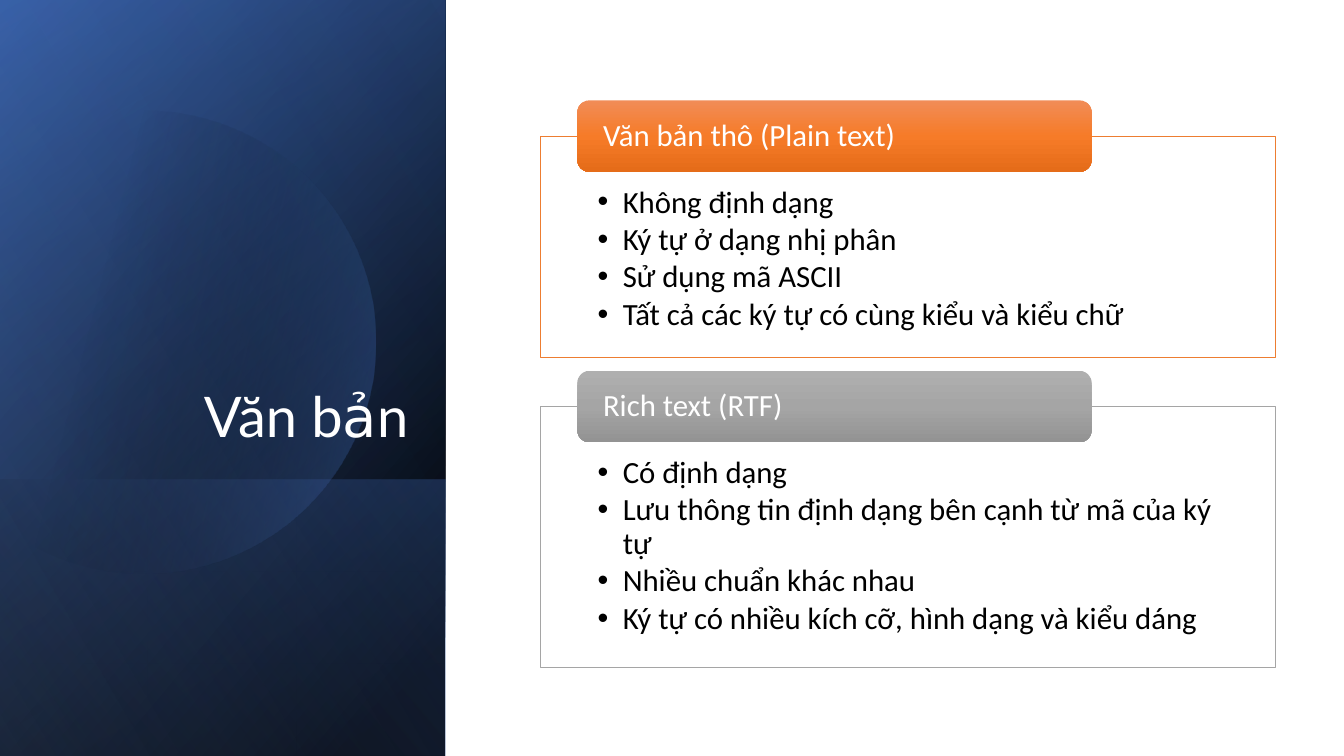
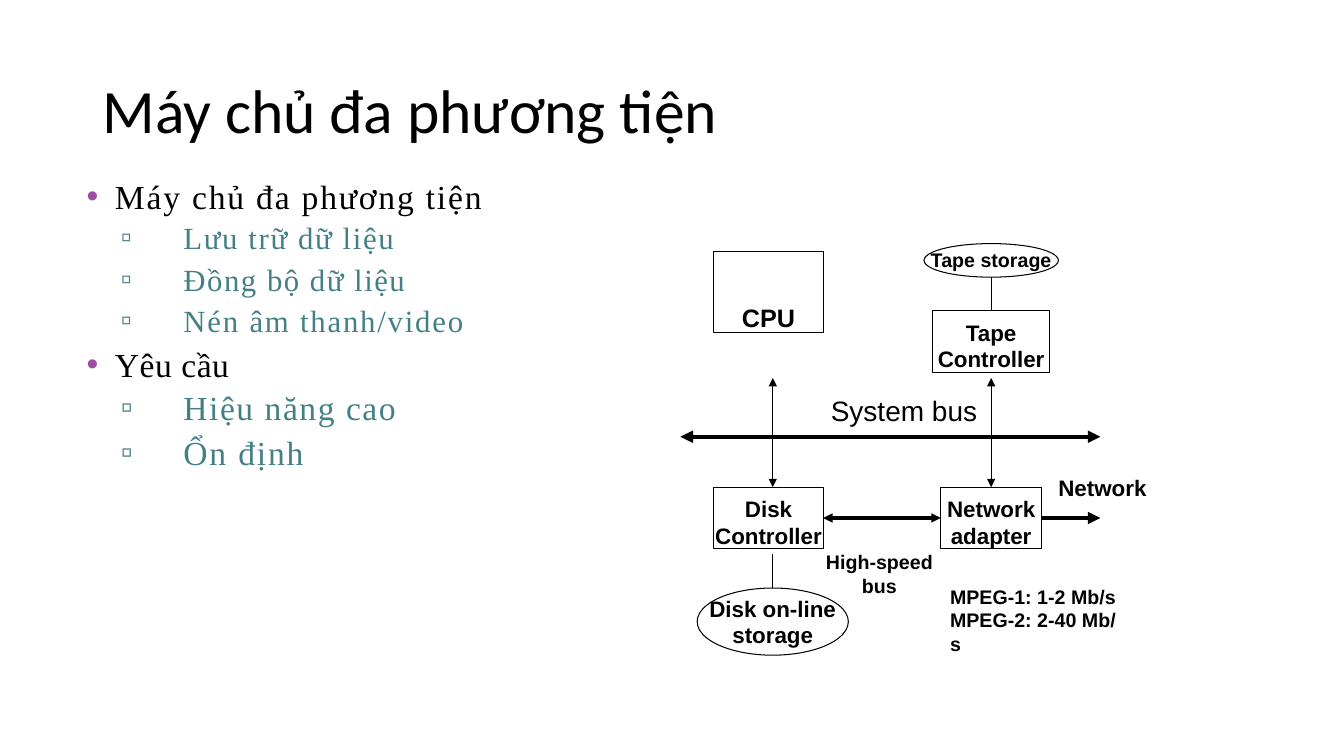
import math
from dataclasses import dataclass

from lxml import etree
from pptx import Presentation
from pptx.dml.color import RGBColor
from pptx.enum.shapes import MSO_CONNECTOR, MSO_SHAPE
from pptx.enum.text import MSO_ANCHOR, MSO_AUTO_SIZE, PP_ALIGN
from pptx.oxml.ns import qn
from pptx.util import Inches, Pt

RECT, ROUND, OVAL = MSO_SHAPE.RECTANGLE, MSO_SHAPE.ROUNDED_RECTANGLE, MSO_SHAPE.OVAL
STRAIGHT = MSO_CONNECTOR.STRAIGHT
TOP, MIDDLE, BOTTOM = MSO_ANCHOR.TOP, MSO_ANCHOR.MIDDLE, MSO_ANCHOR.BOTTOM
LEFT, CENTER, RIGHT = PP_ALIGN.LEFT, PP_ALIGN.CENTER, PP_ALIGN.RIGHT
SIDE_TOP, SIDE_LEFT, SIDE_BOTTOM, SIDE_RIGHT = range(4)
COLS, ROWS = 160, 90
TITLE_ONLY = 5


@dataclass(frozen=True)
class Theme:
    black: str = "000000"
    white: str = "FFFFFF"
    blue: str = "4472C4"
    deep_blue: str = "2F5597"
    pale_blue: str = "8FAADC"
    orange: str = "ED7D31"
    grey: str = "A5A5A5"
    purple: str = "A04DA3"
    teal: str = "438086"
    orange_shades: tuple = ("F18C57", "F67B28", "E56C19")
    grey_shades: tuple = ("AFAFAF", "A5A5A5", "939393")
    sans: str = "Calibri"
    serif: str = "Times New Roman"
    diagram: str = "Arial"
    panel_title: str = "Lato"
    fallback: str = "DejaVu Sans"
    title: int = 44
    panel_size: int = 40
    body: int = 24
    card: int = 22
    bus: int = 20
    cpu: int = 18
    box: int = 16
    note: int = 14
    hairline: float = 0.75


T = Theme()


def grid(n):
    """Length of n grid cells, each a twelfth of an inch."""
    return Inches(n / 12)


def rgb(value):
    return RGBColor.from_string(value)


class Deck:
    def __init__(self):
        self.prs = Presentation()
        self.prs.slide_width, self.prs.slide_height = grid(COLS), grid(ROWS)
        self.s = None

    def new_slide(self):
        self.s = self.prs.slides.add_slide(self.prs.slide_layouts[TITLE_ONLY])

    def frame(self, tf, anchor=TOP, insets=(0, 0, 0, 0), wrap=True):
        tf.auto_size = MSO_AUTO_SIZE.NONE
        tf.word_wrap, tf.vertical_anchor = wrap, anchor
        for side, inset in zip(("left", "top", "right", "bottom"), insets):
            setattr(tf, f"margin_{side}", Inches(inset))

    def style_run(self, r, font, size, color, bold=False, tracking=0):
        formats = {"name": font, "size": Pt(size), "bold": bold}
        for name, value in formats.items():
            setattr(r.font, name, value)
        r.font.color.rgb = rgb(color)
        if tracking:
            r.font._element.set("spc", str(round(tracking * 100)))

    def bullet(self, p, char, margin, hang, color):
        pPr = p._p.get_or_add_pPr()
        pPr.set("marL", str(Inches(margin)))
        pPr.set("indent", str(-Inches(hang)))
        clr = etree.SubElement(pPr, qn("a:buClr"))
        etree.SubElement(clr, qn("a:srgbClr")).set("val", color)
        etree.SubElement(pPr, qn("a:buFont")).set("typeface", T.diagram)
        etree.SubElement(pPr, qn("a:buChar")).set("char", char)

    def paragraph(self, tf, text, style, first, bullet=None, **layout):
        p = tf.paragraphs[0] if first else tf.add_paragraph()
        p.text = text
        if bullet:
            self.bullet(p, *bullet)
        layout.setdefault("alignment", LEFT)
        if first:
            layout["space_before"] = Pt(0)
        for name, value in layout.items():
            setattr(p, name, value)
        for r in p.runs:
            self.style_run(r, **style)

    def title(self, parts, box, size, color, anchor, align, insets):
        """Place the title; parts are (text, font) pairs."""
        sp = self.s.shapes.title
        sp.left, sp.top, sp.width, sp.height = map(grid, box)
        self.s.shapes._spTree.append(sp._element)
        self.frame(sp.text_frame, anchor, insets)
        p = sp.text_frame.paragraphs[0]
        p.alignment, p.line_spacing = align, 0.9
        for text, font in parts:
            r = p.add_run()
            r.text = text
            self.style_run(r, font, size, color)

    def gradient(self, sp, angle, stops):
        """Fill with (position %, colour, opacity %) stops; angle runs counter-clockwise."""
        sp.fill.gradient()
        sp.fill.gradient_angle = angle
        gs_list = sp._element.spPr.find(qn("a:gradFill")).find(qn("a:gsLst"))
        for old in list(gs_list):
            gs_list.remove(old)
        for position, color, opacity in stops:
            gs = etree.SubElement(gs_list, qn("a:gs"))
            gs.set("pos", str(position * 1000))
            clr = etree.SubElement(gs, qn("a:srgbClr"))
            clr.set("val", color)
            if opacity < 100:
                etree.SubElement(clr, qn("a:alpha")).set("val", str(opacity * 1000))

    def shape(self, kind, box, fill=None, line=None, width=T.hairline):
        sp = self.s.shapes.add_shape(kind, *map(grid, box))
        sp.shadow.inherit = False
        if fill:
            sp.fill.solid()
            sp.fill.fore_color.rgb = rgb(fill)
        else:
            sp.fill.background()
        if line:
            sp.line.color.rgb, sp.line.width = rgb(line), Pt(width)
        else:
            sp.line.fill.background()
        return sp

    def clipped_disc(self, cx, cy, radius, angle, stops):
        """Disc cut off by the left edge of the slide."""
        cut = math.degrees(math.acos(-cx / radius))
        turns = [math.radians(-cut + 2 * cut * i / 90) for i in range(91)]
        points = [(grid(max(0, cx + radius * math.cos(t))),
                   grid(cy + radius * math.sin(t))) for t in turns]
        builder = self.s.shapes.build_freeform(*points[0])
        builder.add_line_segments(points[1:], close=True)
        sp = builder.convert_to_shape()
        sp.shadow.inherit = False
        sp.line.fill.background()
        self.gradient(sp, angle, stops)

    def card(self, row, height, heading, items, color, shades):
        """Outlined bullet list with a heading tab over its top edge."""
        style = dict(font=T.sans, size=T.card, color=T.black)
        sp = self.shape(RECT, (64.3, row, 87.5, height), T.white, color, 0.5)
        self.frame(sp.text_frame, TOP, (0.57, 0.5, 0.57, 0.17))
        for i, item in enumerate(items):
            self.paragraph(sp.text_frame, item, style, i == 0,
                           ("•", 0.25, 0.25, T.black),
                           line_spacing=0.9, space_after=Pt(3))
        tab = self.shape(ROUND, (68.75, row - 4.25, 61.2, 8.5))
        self.gradient(tab, 270, [(50 * i, c, 100) for i, c in enumerate(shades)])
        self.frame(tab.text_frame, MIDDLE, (0.22, 0, 0.22, 0))
        self.paragraph(tab.text_frame, heading, {**style, "color": T.white}, True,
                       line_spacing=0.9)

    def node(self, kind, box, text, size=T.box, spacing=19):
        """Outlined diagram part: boxes hold text at the foot, ovals in the middle."""
        sp = self.shape(kind, box, line=T.black)
        oval = kind == OVAL
        self.frame(sp.text_frame, MIDDLE if oval else BOTTOM, wrap=not oval)
        self.paragraph(sp.text_frame, text, self.diagram_style(size), True,
                       alignment=CENTER, line_spacing=Pt(spacing))
        return sp

    def diagram_style(self, size, bold=True):
        return dict(font=T.diagram, size=size, color=T.black, bold=bold)

    def label(self, box, lines, size=T.note, bold=True, align=LEFT):
        tf = self.s.shapes.add_textbox(*map(grid, box)).text_frame
        self.frame(tf)
        for i, line in enumerate(lines):
            self.paragraph(tf, line, self.diagram_style(size, bold), i == 0,
                           alignment=align)

    def line(self, start, end, width=T.hairline, arrows="", begin=None, finish=None):
        """Connector; arrows names the tipped ends, begin and finish are (shape, side)."""
        cn = self.s.shapes.add_connector(STRAIGHT, *map(grid, (*start, *end)))
        cn.line.color.rgb, cn.line.width = rgb(T.black), Pt(width)
        ln = cn.line._get_or_add_ln()
        for end_name in arrows.split():
            etree.SubElement(ln, qn(f"a:{end_name}End")).set("type", "triangle")
        etree.SubElement(cn._element.spPr, qn("a:effectLst"))
        if begin:
            cn.begin_connect(*begin)
        if finish:
            cn.end_connect(*finish)

    def outline(self, box, items):
        """Two-level list of (level, text, size, tracking, space before)."""
        levels = (("•", 0.29, 0.28, T.purple), ("▫", 0.97, 0.62, T.teal))
        colors = (T.black, T.teal)
        tf = self.s.shapes.add_textbox(*map(grid, box)).text_frame
        self.frame(tf, insets=(0, 0.05, 0, 0))
        for i, (level, text, size, tracking, before) in enumerate(items):
            style = dict(font=T.serif, size=size, color=colors[level], tracking=tracking)
            self.paragraph(tf, text, style, i == 0, levels[level],
                           space_before=Pt(before))


def text_slide(d):
    d.new_slide()
    whole, foot = (0, 0, 53, ROWS), (0, 57.1, 53, 32.9)
    layers = [
        (whole, 140, [(8, T.black, 100), (100, T.deep_blue, 100)]),
        (whole, 120, [(0, T.black, 0), (99, T.blue, 46)]),
        (foot, 220, [(2, T.blue, 29), (100, T.black, 30)]),
    ]
    for box, angle, stops in layers:
        d.gradient(d.shape(RECT, box), angle, stops)
    d.clipped_disc(17.1, 40.7, 27.6, 346, [(29, T.black, 0), (100, T.blue, 43)])
    d.gradient(d.shape(RECT, whole), 210, [(0, T.black, 0), (99, T.pale_blue, 11)])
    d.title([("Văn b", T.panel_title), ("ả", T.fallback), ("n", T.panel_title)],
            (7.7, 22.1, 40.9, 31.4), T.panel_size, T.white, BOTTOM, RIGHT,
            (0, 0.01, 0, 0))
    d.card(16.2, 26.4, "Văn bản thô (Plain text)",
           ["Không định dạng", "Ký tự ở dạng nhị phân", "Sử dụng mã ASCII",
            "Tất cả các ký tự có cùng kiểu và kiểu chữ"], T.orange, T.orange_shades)
    d.card(48.4, 31, "Rich text (RTF)",
           ["Có định dạng", "Lưu thông tin định dạng bên cạnh từ mã của ký tự",
            "Nhiều chuẩn khác nhau", "Ký tự có nhiều kích cỡ, hình dạng và kiểu dáng"],
           T.grey, T.grey_shades)


def server_slide(d):
    d.new_slide()
    d.title([("Máy chủ đa phương tiện", T.sans)], (11, 4.8, 138, 17.4),
            T.title, T.black, MIDDLE, LEFT, (0.1, 0.05, 0.1, 0.05))
    d.outline((10.2, 20.3, 66.7, 36), [
        (0, "Máy chủ đa phương tiện", T.body, 1.3, 0),
        (1, "Lưu trữ dữ liệu", T.card, 1.2, 2.2),
        (1, "Đồng bộ dữ liệu", T.card, 1.1, 3.6),
        (1, "Nén âm thanh/video", T.card, 1.3, 2.6),
        (0, "Yêu cầu", T.body, 0.4, 3.6),
        (1, "Hiệu năng cao", T.body, 1.1, 2.2),
        (1, "Ổn định", T.body, 1.3, 3.2),
    ])
    left, right, bus, lower, box_h = 92, 118, 52, 58, 7.33
    d.node(RECT, (85, 30, 13, 9.6), "CPU", T.cpu, 20.7)
    d.node(OVAL, (110, 29, 16, 4), "Tape storage", T.note, 16.4)
    tape = d.node(RECT, (111, 37, 14, box_h), "Tape Controller")
    disk = d.node(RECT, (85, lower, 13, box_h), "Disk Controller")
    network = d.node(RECT, (112, lower, 12, box_h), "Network adapter")
    d.node(OVAL, (83, 70, 18, 8), "Disk on-line\vstorage")

    mid = lower + box_h / 2
    d.line((81, bus), (131, bus), 3, "head tail")
    d.line((left, 45), (left, lower), arrows="head tail")
    d.line((right, 45), (right, lower), arrows="head tail", finish=(network, SIDE_TOP))
    d.line((right, 33), (right, 37), finish=(tape, SIDE_TOP))
    d.line((left, 66), (left, 70))
    d.line((98, mid), (112, mid), 2.25, "head tail",
           (disk, SIDE_RIGHT), (network, SIDE_LEFT))
    d.line((124, mid), (131, mid), 3, "tail", (network, SIDE_RIGHT))

    d.label((98.9, 46.8, 18.6, 4.2), ["System bus"], T.bus, False)
    d.label((126, 56.4, 12, 3.4), ["Network"], T.box)
    d.label((97.5, 65.5, 14.4, 6), ["High-speed bus"], align=CENTER)
    d.label((113.1, 69.6, 21, 8.6), ["MPEG-1: 1-2 Mb/s", "MPEG-2: 2-40 Mb/", "s"])


def main():
    d = Deck()
    text_slide(d)
    server_slide(d)
    d.prs.save("out.pptx")


if __name__ == "__main__":
    main()
